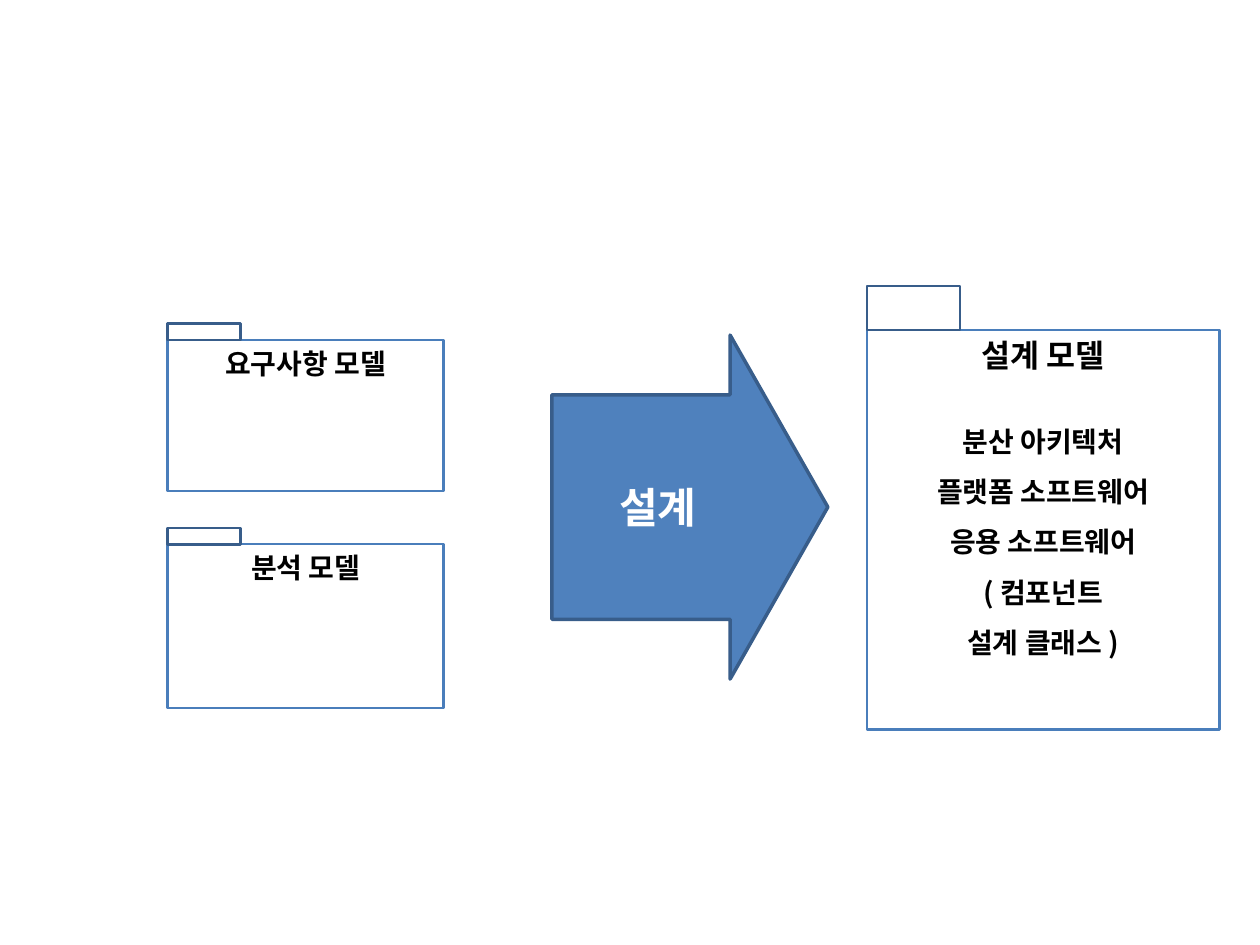
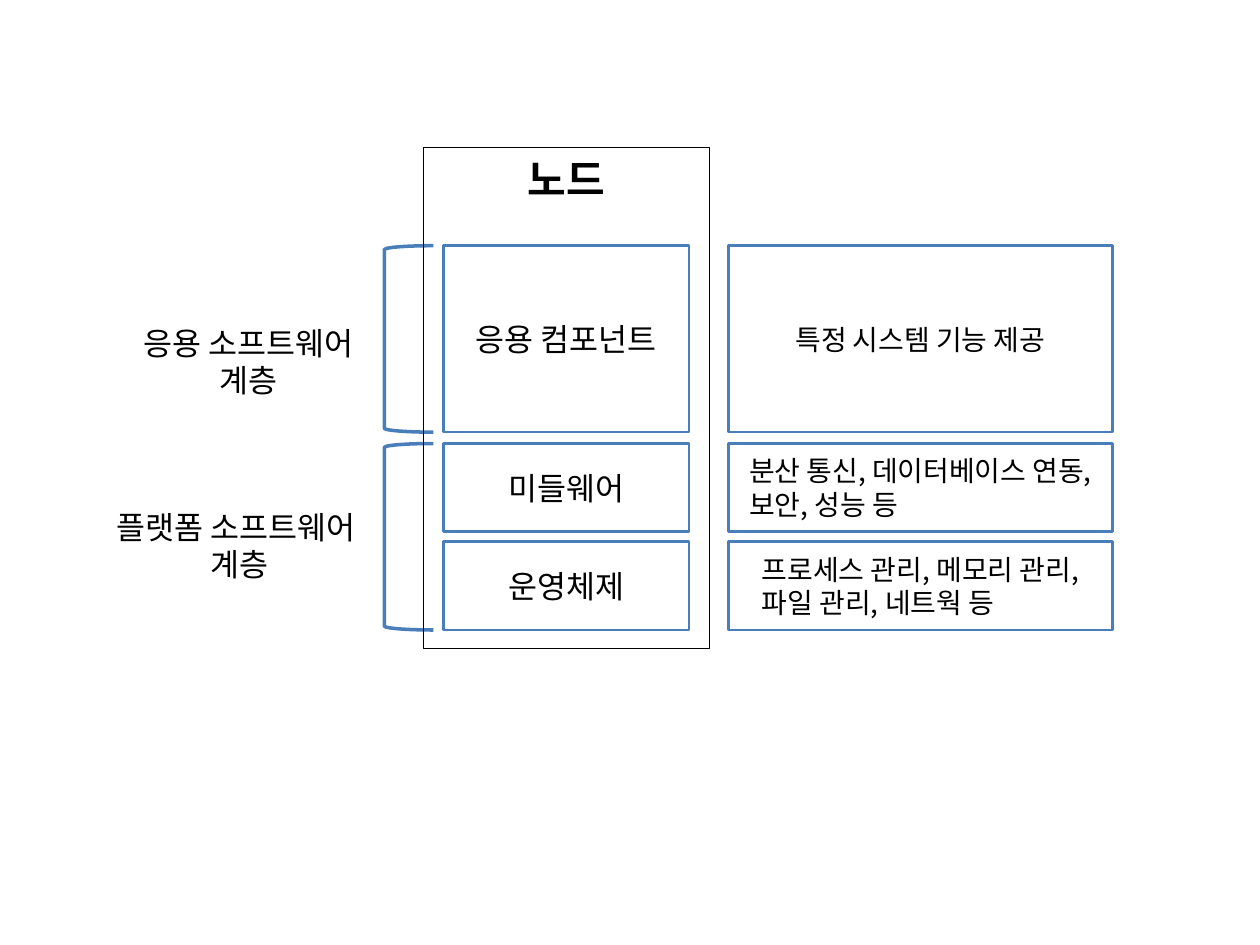
from pptx import Presentation
from pptx.dml.color import RGBColor
from pptx.enum.shapes import MSO_SHAPE
from pptx.enum.text import MSO_ANCHOR, PP_ALIGN
from pptx.oxml.ns import qn
from pptx.util import Inches, Pt
from lxml import etree

RECTANGLE = MSO_SHAPE.RECTANGLE
RIGHT_ARROW = MSO_SHAPE.RIGHT_ARROW
LEFT_BRACKET = MSO_SHAPE.LEFT_BRACKET
TOP, MIDDLE = MSO_ANCHOR.TOP, MSO_ANCHOR.MIDDLE
LEFT, CENTER = PP_ALIGN.LEFT, PP_ALIGN.CENTER

BLUE = RGBColor(0x4F, 0x81, 0xBD)
DARK_BLUE = RGBColor(0x38, 0x5D, 0x8A)
LINE_BLUE = RGBColor(0x4A, 0x7E, 0xBB)
BLACK = RGBColor(0, 0, 0)
WHITE = RGBColor(0xFF, 0xFF, 0xFF)
FONT = "Noto Sans CJK KR"


def add_outline(shapes, kind, left, top, width, height, color=LINE_BLUE, weight=1.5):
    """Add an unfilled shape with a plain line."""
    shape = shapes.add_shape(kind, Inches(left), Inches(top), Inches(width), Inches(height))
    shape.shadow.inherit = False
    shape.fill.background()
    shape.line.color.rgb = color
    shape.line.width = Pt(weight)
    return shape


def write(shape, text, size=18, color=BLACK, bold=False, align=CENTER,
          anchor=TOP, wrap=True, center_block=False, spacing=None, before=0, more=False):
    """Write one paragraph per line; more=True continues the existing text."""
    frame = shape.text_frame
    frame.word_wrap = wrap
    frame.vertical_anchor = anchor
    if center_block:
        frame._txBody.bodyPr.set("anchorCtr", "1")
    for index, line in enumerate(text.split("\n")):
        paragraph = frame.add_paragraph() if more or index else frame.paragraphs[0]
        paragraph.alignment = align
        if spacing:
            paragraph.line_spacing = spacing
        if before and index == 0:
            paragraph.space_before = Pt(before)
        run = paragraph.add_run()
        run.text = line
        run.font.size = Pt(size)
        run.font.bold = bold
        run.font.color.rgb = color
        run.font.name = FONT
        etree.SubElement(run.font._element, qn("a:ea"), typeface=FONT)


presentation = Presentation()
presentation.slide_width = Inches(10)
presentation.slide_height = Inches(7.5)
blank_layout = presentation.slide_layouts[6]

# Slide 1: from requirement and analysis models to the design model
slide = presentation.slides.add_slide(blank_layout)

arrow = add_outline(slide.shapes, RIGHT_ARROW, 4.38, 2.66, 2.19, 2.73, DARK_BLUE, 2)
arrow.adjustments[0] = 0.653
arrow.adjustments[1] = 0.354
arrow.fill.solid()
arrow.fill.fore_color.rgb = BLUE
write(arrow, "설계", size=24, color=WHITE, bold=True, anchor=MIDDLE)

# Packages: a body with a tab on its upper left edge
packages = [
    ("요구사항 모델", 16, 1.33, 2.7, 2.19, 1.2, 0.58, 0.13),
    ("분석 모델", 16, 1.33, 4.32, 2.19, 1.3, 0.58, 0.13),
    ("설계 모델", 18, 6.88, 2.62, 2.8, 3.17, 0.74, 0.35),
]
for name, size, left, top, width, height, tab_width, tab_height in packages:
    package = slide.shapes.add_group_shape()
    body = add_outline(package.shapes, RECTANGLE, left, top, width, height, weight=1.25)
    write(body, name, size=size, bold=True)
    add_outline(package.shapes, RECTANGLE, left, top - tab_height, tab_width, tab_height,
                DARK_BLUE)

# Contents of the design model, the last package
write(body, "분산 아키텍처\n플랫폼 소프트웨어\n응용 소프트웨어\n( 컴포넌트\n설계 클래스 )",
      size=16, bold=True, spacing=1.5, before=19, more=True)

# Slide 2: software layers of a node
slide = presentation.slides.add_slide(blank_layout)

# Components with the services they provide
layers = [
    (1.95, 1.48, "응용 컴포넌트", "특정 시스템 기능 제공"),
    (3.52, 0.7, "미들웨어", "분산 통신, 데이터베이스 연동, 보안, 성능 등"),
    (4.3, 0.7, "운영체제", "프로세스 관리, 메모리 관리, 파일 관리, 네트웍 등"),
]
for top, height, component, service in layers:
    for left, width, text, size in ((3.52, 1.95, component, 18), (5.78, 3.05, service, 16)):
        box = add_outline(slide.shapes, RECTANGLE, left, top, width, height)
        write(box, text, size=size, align=LEFT, anchor=MIDDLE, center_block=True)

# Brackets and their layer names
brackets = [
    (1.95, "응용 소프트웨어\n계층", 1.03, 2.52, 1.88),
    (3.52, "플랫폼 소프트웨어 \n계층", 0.81, 3.98, 2.18),
]
for bracket_top, name, left, top, width in brackets:
    bracket = add_outline(slide.shapes, LEFT_BRACKET, 3.05, bracket_top, 0.39, 1.48, weight=2)
    bracket.adjustments[0] = 0.08
    label = slide.shapes.add_textbox(Inches(left), Inches(top), Inches(width), Inches(0.7))
    write(label, name, wrap=False)

# Node frame around the components
node = add_outline(slide.shapes, RECTANGLE, 3.36, 1.17, 2.27, 3.98, BLACK, 0.75)
write(node, "노드", size=24, bold=True, align=LEFT, center_block=True)

presentation.save("out.pptx")
